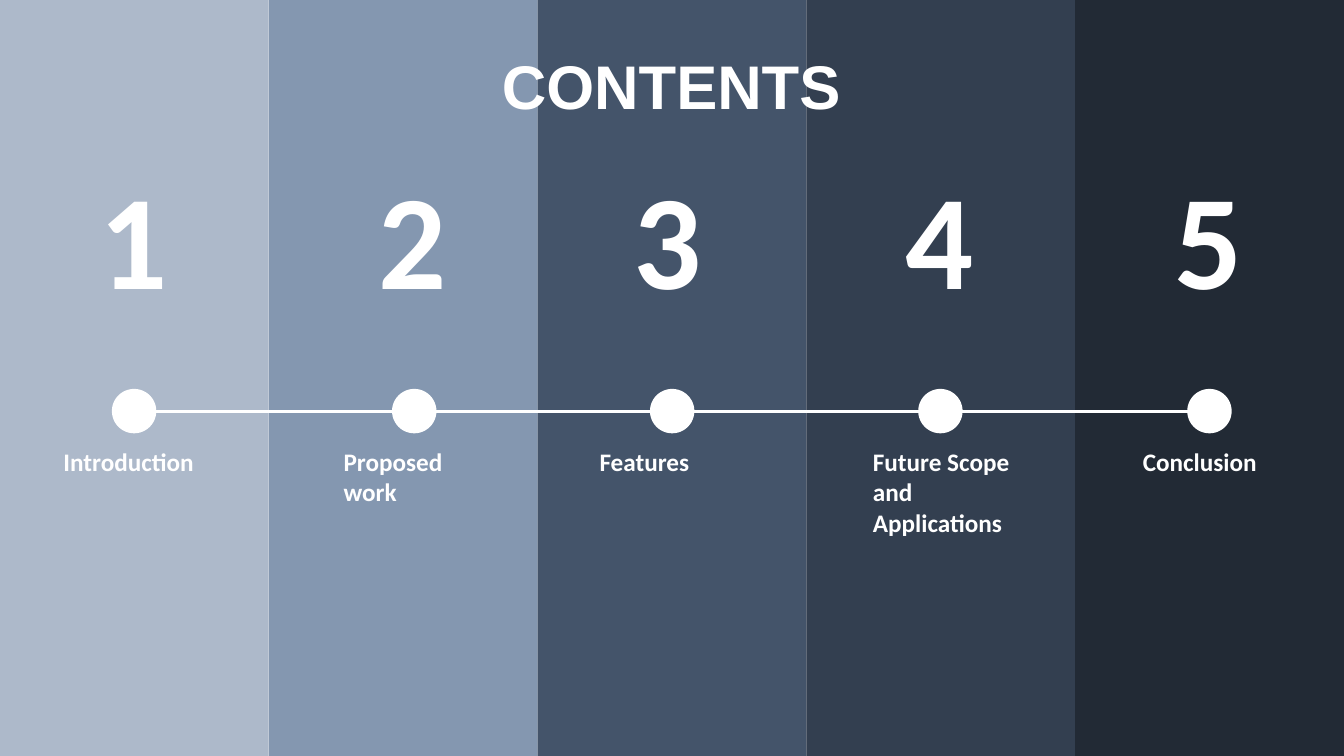
"""Build a contents slide with five coloured bands joined by a timeline."""
from itertools import pairwise

from lxml.etree import SubElement
from pptx import Presentation
from pptx.dml.color import RGBColor as RGB
from pptx.enum.shapes import MSO_CONNECTOR as LINK, MSO_SHAPE as SHAPE
from pptx.enum.text import MSO_ANCHOR as ANCHOR, MSO_AUTO_SIZE as FIT, PP_ALIGN as ALIGN
from pptx.oxml.ns import qn
from pptx.util import Cm, Pt

COLORS = {
    "white": "FFFFFF",
    "mist": "ADB9CA",
    "steel": "8497B0",
    "slate": "44546A",
    "navy": "333F50",
    "night": "222A35",
}
WIDTH, HEIGHT = 33.87, 19.05
DOT = 1.12
AXIS = 10.36

deck = Presentation()
deck.slide_width, deck.slide_height = Cm(WIDTH), Cm(HEIGHT)
slide = deck.slides.add_slide(deck.slide_layouts[6])


def add_block(kind, left, top, width, height, color):
    block = slide.shapes.add_shape(kind, Cm(left), Cm(top), Cm(width), Cm(height))
    block.shadow.inherit = False
    block.fill.solid()
    block.fill.fore_color.rgb = RGB.from_string(COLORS[color])
    block.line.fill.background()


def add_text(words, left, top, width, height, size, face="Calibri", wrap=True):
    box = slide.shapes.add_textbox(Cm(left), Cm(top), Cm(width), Cm(height))
    frame = box.text_frame
    frame.word_wrap = wrap
    frame.auto_size = FIT.SHAPE_TO_FIT_TEXT
    para = frame.paragraphs[0]
    para.text = words
    font = para.font
    font.name, font.size, font.bold = face, Pt(size), True
    font.color.rgb = RGB.from_string(COLORS["white"])
    return frame


bands = ["mist", "steel", "slate", "navy", "night"]
step = WIDTH / len(bands)
for index, color in enumerate(bands):
    add_block(SHAPE.RECTANGLE, index * step, 0, step, HEIGHT, color)

centers = [3.38, 10.44, 16.94, 23.7, 30.48]
for start, end in pairwise(centers):
    line = slide.shapes.add_connector(LINK.STRAIGHT, Cm(start), Cm(AXIS), Cm(end), Cm(AXIS))
    line.line.color.rgb = RGB.from_string(COLORS["white"])
    line.line.width = Pt(2.25)
    SubElement(line.element.spPr, qn("a:effectLst"))

topics = [
    ("Introduction", 1.6, 3.89, 0.76, 2.26),
    ("Proposed work", 8.66, 3.28, 1.96, 9.3),
    ("Features", 15.11, 3.25, 0.76, 15.72),
    ("Future Scope and Applications", 22, 3.73, 2.31, 22.58),
    ("Conclusion", 28.8, 3.28, 0.76, 29.36),
]
for number, (center, topic) in enumerate(zip(centers, topics), 1):
    label, left, width, height, digit = topic
    add_block(SHAPE.OVAL, center - DOT / 2, AXIS - DOT / 2, DOT, DOT, "white")
    frame = add_text(label, left, 11.25, width, height, 18)
    frame.margin_left = frame.margin_right = frame.margin_top = frame.margin_bottom = 0
    add_text(str(number), digit, 3.78, 2.25, 4.37, 96, wrap=False)

title = add_text("CONTENTS", 4.22, 1.5, 25.4, 1.5, 44, face="Arial")
title.auto_size = FIT.NONE
title.vertical_anchor = ANCHOR.MIDDLE
title.paragraphs[0].alignment = ALIGN.CENTER
title.paragraphs[0].line_spacing = 0.9

deck.save("out.pptx")
